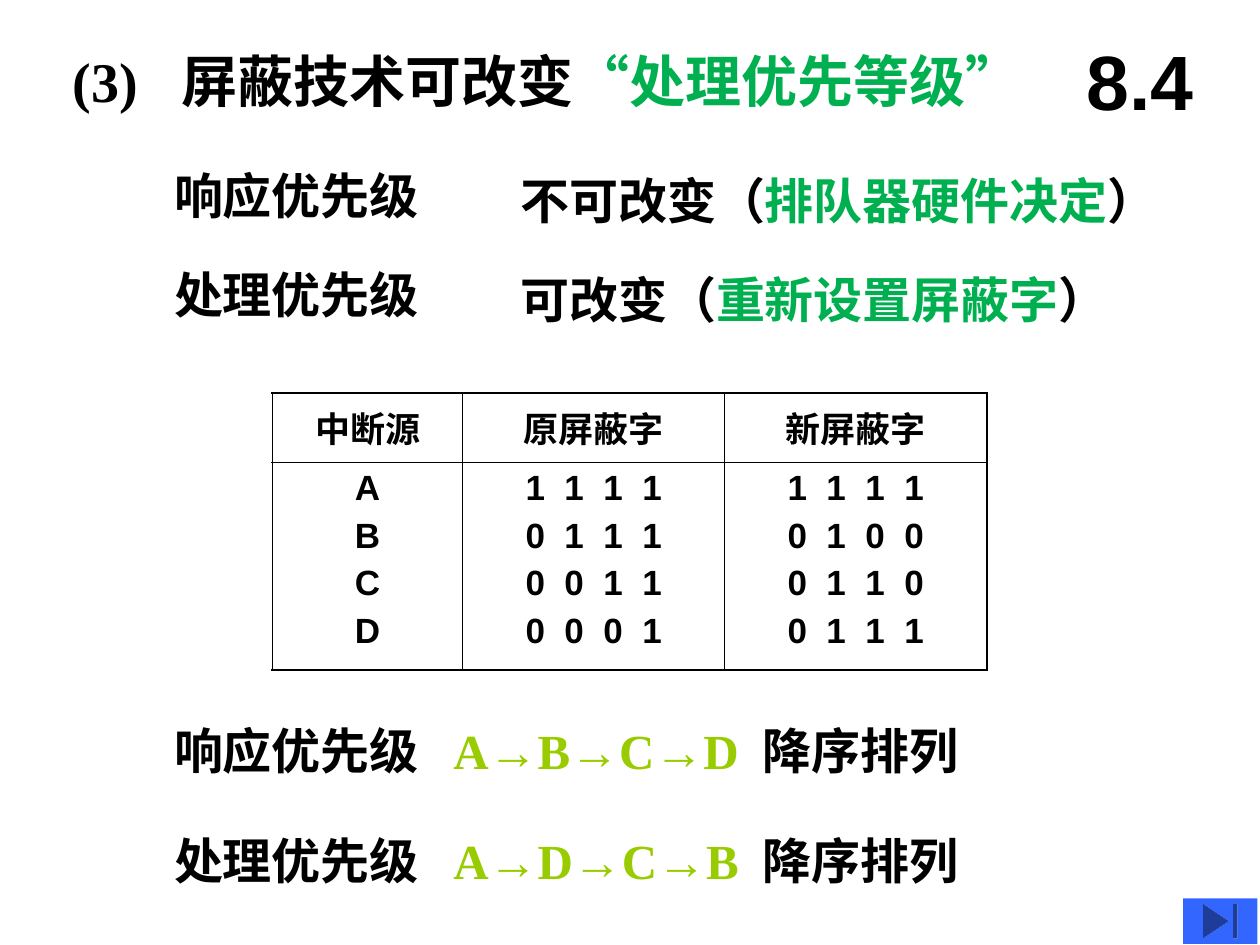
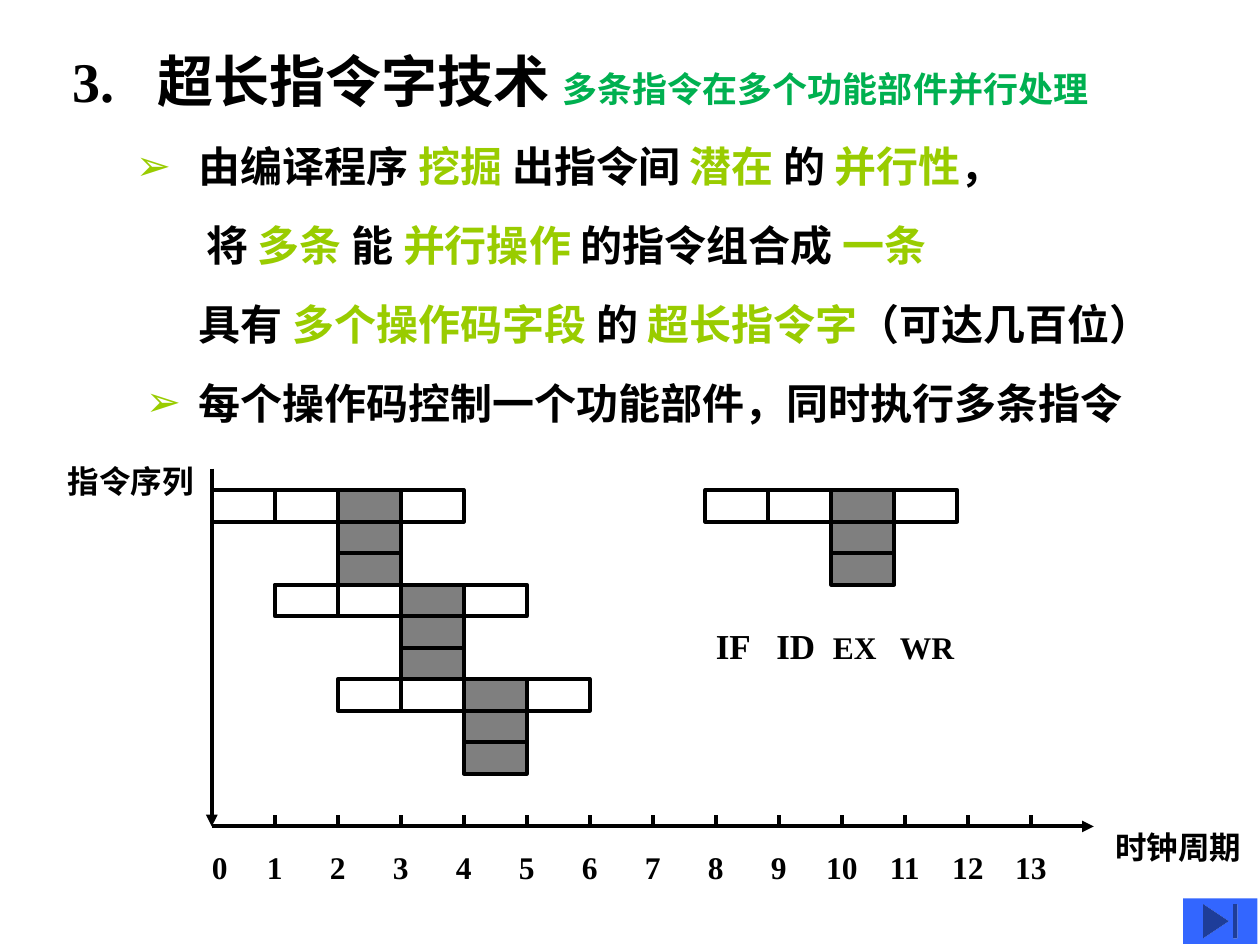
from lxml.etree import SubElement
from pptx import Presentation
from pptx.dml.color import RGBColor
from pptx.enum.shapes import MSO_CONNECTOR, MSO_SHAPE
from pptx.enum.text import MSO_ANCHOR, MSO_AUTO_SIZE, PP_ALIGN
from pptx.oxml.ns import qn
from pptx.util import Cm, Pt

# Shared colours and fonts
BLACK = RGBColor(0x00, 0x00, 0x00)
GREEN = RGBColor(0x00, 0xB0, 0x50)
LIME = RGBColor(0x99, 0xCC, 0x00)
BLUE = RGBColor(0x33, 0x66, 0xFF)
SERIF = "Times New Roman"
SANS = "Arial"

# Pipeline grid, in centimetres
CYCLE = 1.27
ROW = CYCLE / 2
AXIS_X, AXIS_Y = 4.27, 16.66
PIPELINE_TOP = 9.88
STAGES = 4
EXECUTE_STAGE = 2


def add_runs(paragraph, runs, size, font=SERIF):
    """Each run is (text, colour) or (text, colour, size)."""
    for text, color, *own_size in runs:
        run = paragraph.add_run()
        run.text = text
        run.font.name = font
        run.font.size = Pt(own_size[0] if own_size else size)
        run.font.bold = True
        run.font.color.rgb = color


def add_tabs(paragraph, stops, align="l"):
    if not stops:
        return
    tab_list = SubElement(paragraph._p.get_or_add_pPr(), qn("a:tabLst"))
    for stop in stops:
        SubElement(tab_list, qn("a:tab"), pos=str(Cm(stop)), algn=align)


def add_bullet(paragraph, shown):
    properties = paragraph._p.get_or_add_pPr()
    if shown:
        color = SubElement(properties, qn("a:buClr"))
        SubElement(color, qn("a:srgbClr"), val=str(LIME))
        SubElement(properties, qn("a:buChar"), char="➢")
    else:
        SubElement(properties, qn("a:buNone"))


def prepare_frame(shape, anchor=MSO_ANCHOR.MIDDLE):
    frame = shape.text_frame
    frame.auto_size = MSO_AUTO_SIZE.NONE
    frame.word_wrap = True
    frame.vertical_anchor = anchor
    frame.margin_left = frame.margin_right = 0
    frame.margin_top = frame.margin_bottom = 0
    return frame


def place(shape, left, top, width, height):
    shape.left, shape.top = Cm(left), Cm(top)
    shape.width, shape.height = Cm(width), Cm(height)


def set_title(slide, runs, width, tab):
    title = slide.shapes.title
    place(title, 1.47, 0.64, width, 1.96)
    paragraph = prepare_frame(title).paragraphs[0]
    add_tabs(paragraph, [tab])
    paragraph.alignment = PP_ALIGN.LEFT
    add_runs(paragraph, runs, 32)


def add_text(slide, box, runs, size, font=SERIF, tabs=(), tab_align="l",
             align=PP_ALIGN.LEFT):
    left, top, width, height = map(Cm, box)
    shape = slide.shapes.add_textbox(left, top, width, height)
    paragraph = prepare_frame(shape).paragraphs[0]
    add_tabs(paragraph, tabs, tab_align)
    paragraph.alignment = align
    add_runs(paragraph, runs, size, font)


def add_end_button(slide):
    button = slide.shapes.add_shape(
        MSO_SHAPE.ACTION_BUTTON_END, Cm(23.85), Cm(18.11), Cm(1.5), Cm(0.92))
    button.shadow.inherit = False
    button.fill.solid()
    button.fill.fore_color.rgb = BLUE
    button.line.fill.background()


def set_borders(cell, widths):
    """Widths in points, in the order left, right, top, bottom."""
    properties = cell._tc.get_or_add_tcPr()
    for side, width in zip("LRTB", widths):
        line = SubElement(properties, qn(f"a:ln{side}"), w=str(Pt(width)))
        fill = SubElement(line, qn("a:solidFill"))
        SubElement(fill, qn("a:srgbClr"), val=str(BLACK))


def add_mask_table(slide, headers, columns):
    column_widths, row_heights = (3.84, 5.28, 5.28), (1.4, 4.19)
    table = slide.shapes.add_table(
        2, 3, Cm(5.49), Cm(7.92), Cm(sum(column_widths)),
        Cm(sum(row_heights))).table
    table.first_row = table.horz_banding = False
    for column, width in zip(table.columns, column_widths):
        column.width = Cm(width)
    for row, height in zip(table.rows, row_heights):
        row.height = Cm(height)

    thick, thin = 1.08, 0.45
    for column, header in enumerate(headers):
        for row, lines in enumerate(([header], columns[column])):
            cell = table.cell(row, column)
            set_borders(cell, [thick if outer else thin for outer in (
                column == 0, column == 2, row == 0, row == 1)])
            cell.fill.background()
            cell.vertical_anchor = MSO_ANCHOR.TOP if row else MSO_ANCHOR.MIDDLE
            frame = cell.text_frame
            for index, line in enumerate(lines):
                paragraph = frame.add_paragraph() if index else frame.paragraphs[0]
                paragraph.alignment = PP_ALIGN.CENTER
                paragraph.space_before = Pt(5 if index else 0)
                add_runs(paragraph, [(line, BLACK)], 20, SANS)
                if row and column:
                    # Wide letter spacing keeps the mask bits apart
                    paragraph.runs[0].font._element.set("spc", "278")


def add_points(slide, points):
    """Each point is (bullet, left margin, first-line indent, runs)."""
    body = slide.placeholders[1]
    place(body, 2.74, 2.27, 22.4, 6.4)
    frame = prepare_frame(body, MSO_ANCHOR.TOP)
    for index, (bullet, margin, indent, runs) in enumerate(points):
        paragraph = frame.add_paragraph() if index else frame.paragraphs[0]
        properties = paragraph._p.get_or_add_pPr()
        properties.set("marL", str(Cm(margin)))
        properties.set("indent", str(Cm(indent)))
        add_bullet(paragraph, bullet)
        paragraph.alignment = PP_ALIGN.LEFT
        paragraph.space_before = Pt(0)
        paragraph.line_spacing = Pt(45)
        add_runs(paragraph, runs, 24)


def add_stage(slide, left, top, shaded):
    stage = slide.shapes.add_shape(
        MSO_SHAPE.RECTANGLE, Cm(left), Cm(top), Cm(CYCLE), Cm(ROW))
    stage.shadow.inherit = False
    stage.line.color.rgb = BLACK
    stage.line.width = Pt(2.25)
    if shaded:
        stage.fill.solid()
        stage.fill.fore_color.rgb = BLACK
        color = stage.fill._xPr.find(qn("a:solidFill"))[0]
        SubElement(color, qn("a:alpha"), val="50000")
    else:
        stage.fill.background()


def add_instruction(slide, left, top):
    """Four stages in a row, with two more execution units below."""
    for stage in range(STAGES):
        add_stage(slide, left + stage * CYCLE, top, stage == EXECUTE_STAGE)
    for unit in (1, 2):
        add_stage(slide, left + EXECUTE_STAGE * CYCLE, top + unit * ROW, True)


def add_line(slide, x1, y1, x2, y2, arrow=False):
    line = slide.shapes.add_connector(
        MSO_CONNECTOR.STRAIGHT, Cm(x1), Cm(y1), Cm(x2), Cm(y2))
    line.line.color.rgb = BLACK
    line.line.width = Pt(2.25)
    if arrow:
        SubElement(line.line._get_or_add_ln(), qn("a:tailEnd"), type="triangle")
    SubElement(line._element.spPr, qn("a:effectLst"))


def build_mask_slide(presentation):
    slide = presentation.slides.add_slide(presentation.slide_layouts[5])
    set_title(slide, [("(3)\t屏蔽技术可改变", BLACK),
                      ("“处理优先等级”", GREEN)], 19.6, 2.18)
    add_text(slide, (21.39, 0.43, 3.18, 2.34), [("8.4", BLACK)], 44, SANS,
             align=PP_ALIGN.CENTER)

    # Which priority can change
    priorities = [
        (3.33, "响应优先级", "不可改变（", "排队器硬件决定"),
        (5.33, "处理优先级", "可改变（", "重新设置屏蔽字"),
    ]
    for top, name, verdict, reason in priorities:
        add_text(slide, (3.51, top, 6.5, 1.19), [(name, BLACK)], 28)
        add_text(slide, (10.49, top, 13.5, 1.4),
                 [(verdict, BLACK), (reason, GREEN), ("）", BLACK)], 28)

    add_mask_table(slide, ["中断源", "原屏蔽字", "新屏蔽字"], [
        ["A", "B", "C", "D"],
        ["1 1 1 1", "0 1 1 1", "0 0 1 1", "0 0 0 1"],
        ["1 1 1 1", "0 1 0 0", "0 1 1 0", "0 1 1 1"],
    ])

    # Resulting orders
    orders = [(14.53, "响应优先级", "A→B→C→D"), (16.74, "处理优先级", "A→D→C→B")]
    for top, name, order in orders:
        add_text(slide, (3.51, top, 18.5, 1.19),
                 [(name + "\t", BLACK), (order + "\t", LIME),
                  ("降序排列", BLACK)], 28, tabs=(5.63, 11.87))
    add_end_button(slide)


def build_long_word_slide(presentation):
    slide = presentation.slides.add_slide(presentation.slide_layouts[1])
    set_title(slide, [("3.\t超长指令字技术 ", BLACK),
                      ("多条指令在多个功能部件并行处理", GREEN, 20)], 22, 1.7)
    add_points(slide, [
        (True, 1.27, -1.27, [
            ("由编译程序 ", BLACK), ("挖掘 ", LIME), ("出指令间 ", BLACK),
            ("潜在 ", LIME), ("的 ", BLACK), ("并行性", LIME), ("，", BLACK)]),
        (False, 1.42, 0, [
            ("将 ", BLACK), ("多条 ", LIME), ("能 ", BLACK),
            ("并行操作 ", LIME), ("的指令组合成 ", BLACK), ("一条", LIME)]),
        (False, 1.27, 0, [
            ("具有 ", BLACK), ("多个操作码字段 ", LIME), ("的 ", BLACK),
            ("超长指令字", LIME), ("（可达几百位）", BLACK)]),
        (True, 1.27, -1.07, [
            ("每个操作码控制一个功能部件，同时执行多条指令", BLACK)]),
    ])

    # Staggered instructions and the legend
    for index in range(3):
        add_instruction(slide, AXIS_X + index * CYCLE,
                        PIPELINE_TOP + index * 3 * ROW)
    add_instruction(slide, 14.22, PIPELINE_TOP)
    add_text(slide, (14.43, 12.45, 5.4, 1.12),
             [("IF\tID\t", BLACK, 20), ("EX\tWR", BLACK)], 18,
             tabs=(1.22, 2.36, 3.71))

    # Axes, ticks and labels
    add_line(slide, AXIS_X, 9.45, AXIS_X, AXIS_Y, arrow=True)
    add_line(slide, AXIS_X, AXIS_Y, AXIS_X + 14 * CYCLE, AXIS_Y, arrow=True)
    ticks = [number * CYCLE for number in range(1, 14)]
    for tick in ticks:
        add_line(slide, AXIS_X + tick, AXIS_Y - 0.23, AXIS_X + tick, AXIS_Y)
    numbers = "\t".join(str(number) for number in range(14))
    add_text(slide, (AXIS_X, 16.97, 17.8, 1.02), [(numbers, BLACK)], 18,
             tabs=ticks, tab_align="ctr")
    add_text(slide, (22.48, 16.56, 2.8, 1.02), [("时钟周期", BLACK)], 18)
    add_text(slide, (1.37, 9.19, 2.8, 1.02), [("指令序列", BLACK)], 18)
    add_end_button(slide)


def main():
    presentation = Presentation()
    presentation.slide_width, presentation.slide_height = Cm(25.4), Cm(19.05)
    build_mask_slide(presentation)
    build_long_word_slide(presentation)
    presentation.save("out.pptx")


if __name__ == "__main__":
    main()
